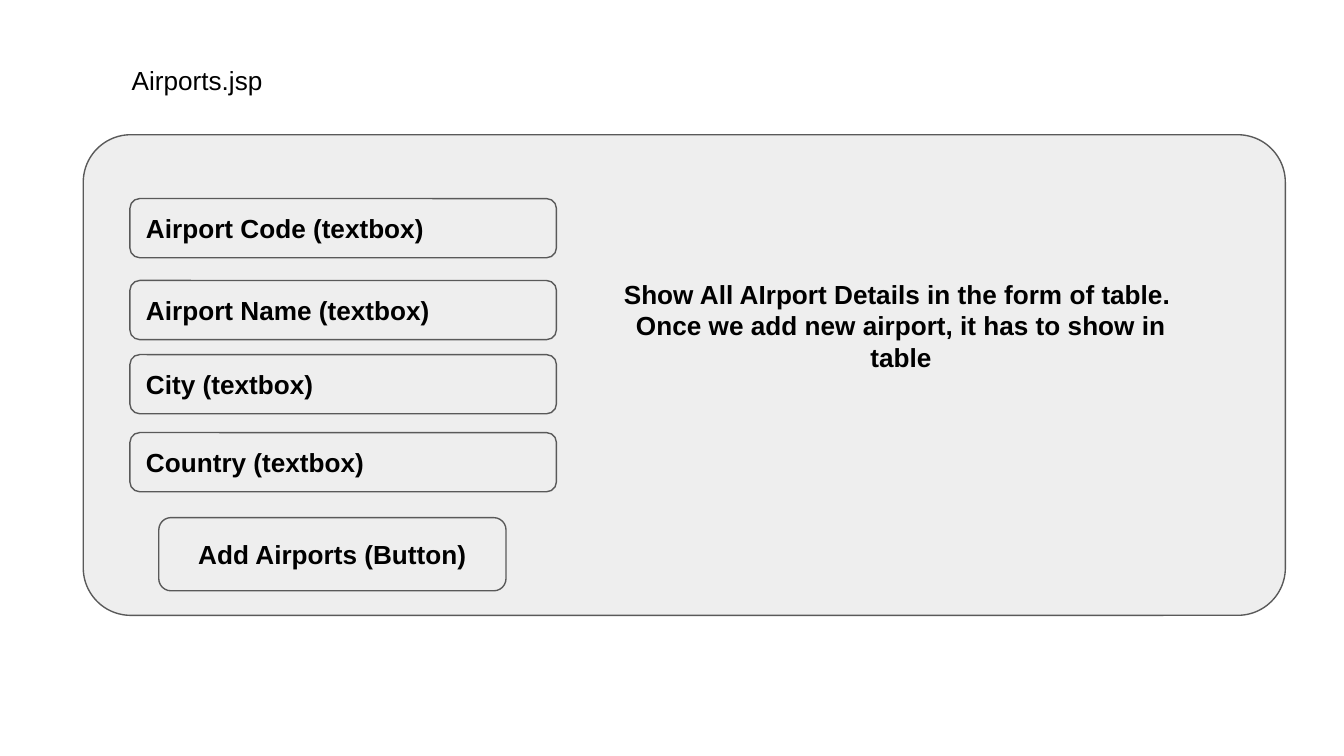
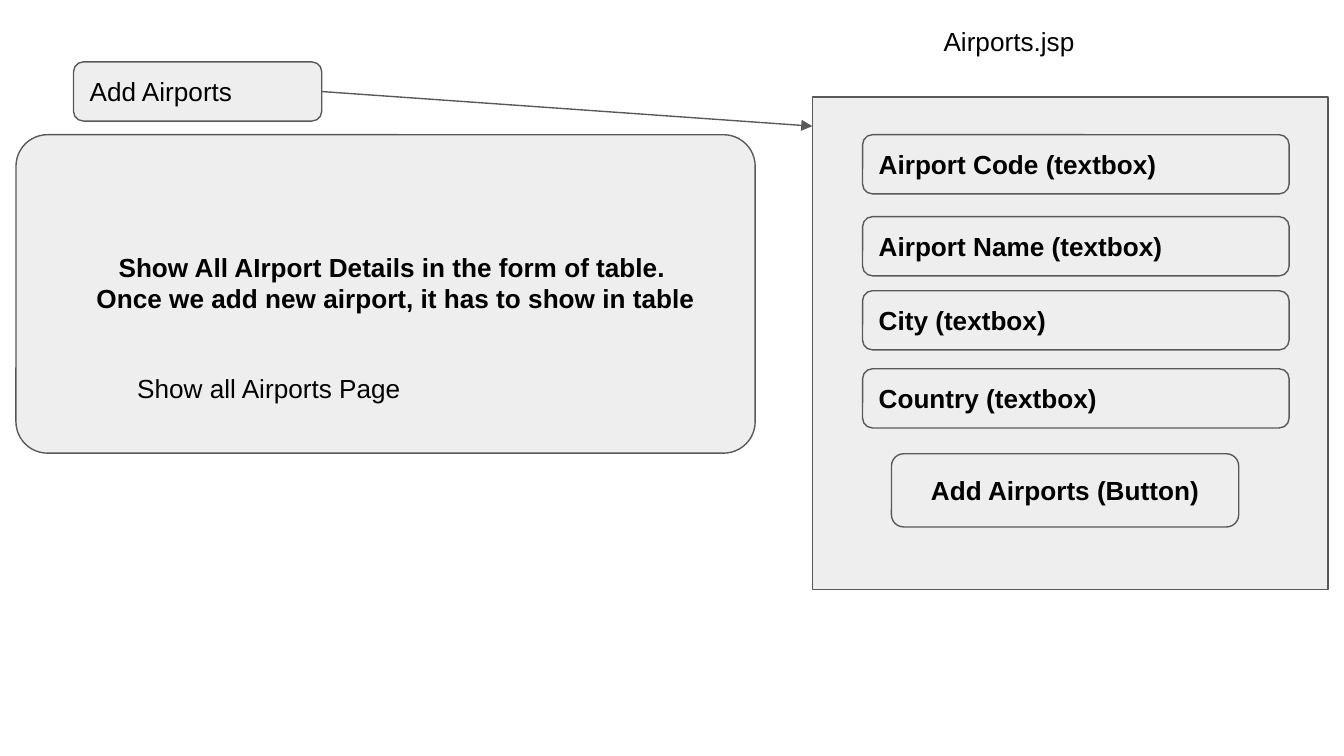
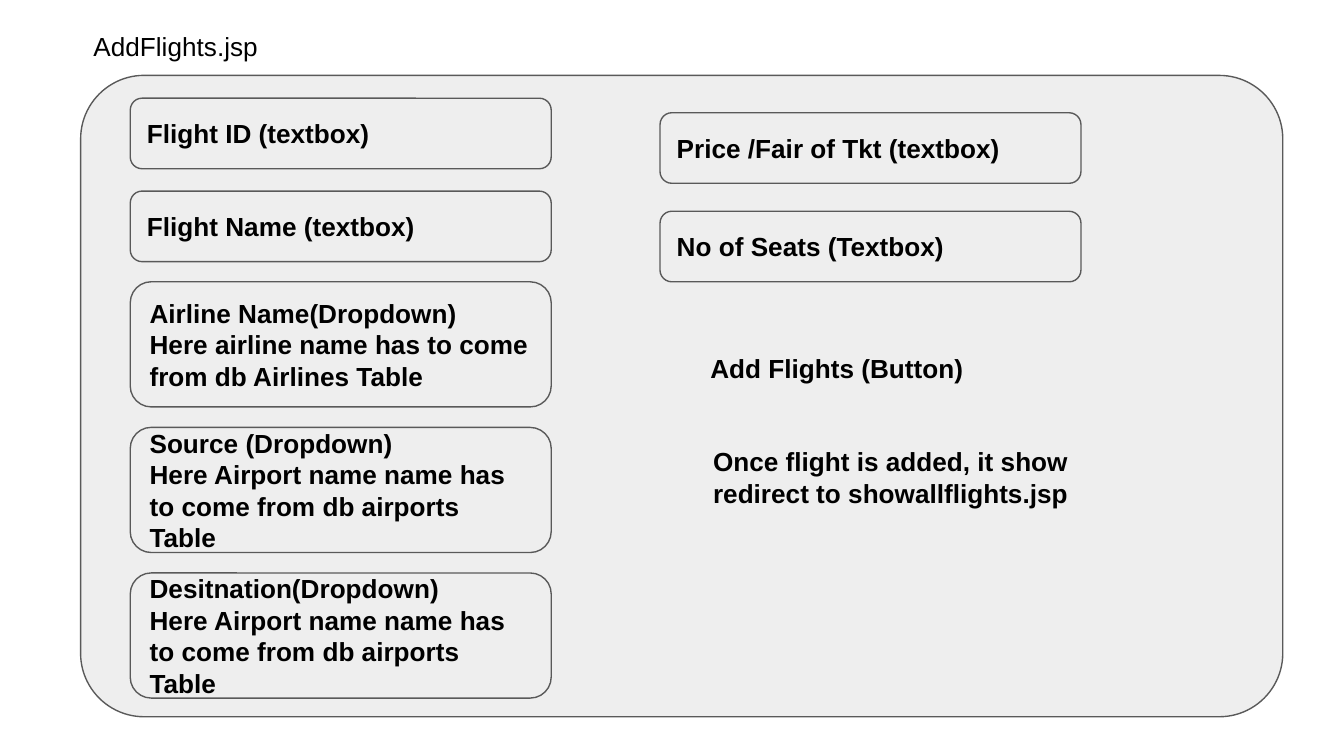
from dataclasses import dataclass

from lxml import etree
from pptx import Presentation
from pptx.dml.color import RGBColor
from pptx.enum import shapes, text
from pptx.oxml import ns
from pptx.util import Pt

FONT = "Arial"
INK = "000000"
PANEL = "EEEEEE"
BORDER = "595959"
INSET = 7.2
ROUND = shapes.MSO_SHAPE.ROUNDED_RECTANGLE
RECT = shapes.MSO_SHAPE.RECTANGLE
LEFT = text.PP_ALIGN.LEFT
CENTER = text.PP_ALIGN.CENTER
PANEL_ADJ = 0.099
FIELD_ADJ = 0.167


@dataclass
class Box:
    x: float
    y: float
    w: float
    h: float

    def lengths(self):
        return Pt(self.x), Pt(self.y), Pt(self.w), Pt(self.h)


@dataclass
class Field:
    label: str
    box: Box


AIRPORT_FIELDS = [
    Field("Airport Code (textbox)", Box(0, 0, 228.5, 31.7)),
    Field("Airport Name (textbox)", Box(0, 43.9, 228.5, 31.7)),
    Field("City (textbox)", Box(0, 83.6, 228.5, 31.7)),
    Field("Country (textbox)", Box(0, 125.4, 228.5, 31.7)),
]
ADD_AIRPORTS = Field("Add Airports (Button)", Box(15.5, 170.9, 186, 39.2))
AIRPORT_TABLE_NOTE = ("Show All AIrport Details in the form of table. \n"
                      "Once we add new airport, it has to show in table")
AIRPORT_SOURCE = "\nHere Airport name name has to come from db airports Table"
DROPDOWNS = [
    "Airline Name(Dropdown)\nHere airline name has to come from db Airlines Table",
    "Source (Dropdown)" + AIRPORT_SOURCE,
    "Desitnation(Dropdown)" + AIRPORT_SOURCE,
]
FLIGHT_FIELDS = [
    Field("Flight ID (textbox)", Box(69.8, 52.6, 225.5, 37.8)),
    Field("Flight Name (textbox)", Box(69.8, 102.4, 225.5, 37.8)),
    Field("Price /Fair of Tkt (textbox)", Box(353.6, 60.4, 225.5, 37.8)),
    Field("No of Seats (Textbox)", Box(353.6, 113.2, 225.5, 37.8)),
]


def color(value: str) -> RGBColor:
    return RGBColor.from_string(value)


def write(sp, content: str, *, bold=True, align=LEFT,
          anchor=text.MSO_ANCHOR.TOP) -> None:
    tf = sp.text_frame
    tf.word_wrap = True
    tf.vertical_anchor = anchor
    tf.margin_left = tf.margin_right = Pt(INSET)
    tf.margin_top = tf.margin_bottom = Pt(INSET)
    for i, line in enumerate(content.split("\n")):
        p = tf.paragraphs[0] if i == 0 else tf.add_paragraph()
        p.alignment = align
        r = p.add_run()
        r.text = line
        r.font.name = FONT
        r.font.size = Pt(14)
        r.font.bold = bold
        r.font.color.rgb = color(INK)


def add_box(s, box: Box, *, kind=ROUND, adj=FIELD_ADJ):
    sp = s.shapes.add_shape(kind, *box.lengths())
    if kind == ROUND:
        sp.adjustments[0] = adj
    sp.shadow.inherit = False
    sp.fill.solid()
    sp.fill.fore_color.rgb = color(PANEL)
    sp.line.color.rgb = color(BORDER)
    sp.line.width = Pt(0.75)
    return sp


def add_field(s, field: Field, *, bold=True, align=LEFT):
    sp = add_box(s, field.box)
    write(sp, field.label, bold=bold, align=align, anchor=text.MSO_ANCHOR.MIDDLE)
    return sp


def add_label(s, content: str, box: Box, *, bold=False, align=LEFT) -> None:
    sp = s.shapes.add_textbox(*box.lengths())
    write(sp, content, bold=bold, align=align)
    sp.text_frame.auto_size = text.MSO_AUTO_SIZE.SHAPE_TO_FIT_TEXT


def add_arrow(s, source, x: float, y: float) -> None:
    line = s.shapes.add_connector(
        shapes.MSO_CONNECTOR.STRAIGHT, Pt(0), Pt(0), Pt(x), Pt(y))
    line.begin_connect(source, 3)
    line.line.color.rgb = color(BORDER)
    line.line.width = Pt(0.75)
    etree.SubElement(line.line._get_or_add_ln(), ns.qn("a:tailEnd"), type="triangle")
    etree.SubElement(line._element.spPr, ns.qn("a:effectLst"))


def add_airport_form(s, x: float, y: float) -> None:
    for field in [*AIRPORT_FIELDS, ADD_AIRPORTS]:
        b = field.box
        placed = Field(field.label, Box(x + b.x, y + b.y, b.w, b.h))
        add_field(s, placed, align=CENTER if field is ADD_AIRPORTS else LEFT)


def airports_slide(s) -> None:
    add_box(s, Box(44.6, 72.2, 644, 257.5), adj=PANEL_ADJ)
    add_label(s, "Airports.jsp", Box(63.4, 27.4, 176.4, 31.7))
    add_airport_form(s, 69.6, 106.4)
    add_label(s, AIRPORT_TABLE_NOTE, Box(321.8, 142, 321.8, 65.5),
              bold=True, align=CENTER)


def add_airport_flow_slide(s) -> None:
    add_box(s, Box(435.2, 52, 276.2, 263.7), kind=RECT)
    add_box(s, Box(8.6, 72.2, 396, 170.6), adj=PANEL_ADJ)
    add_label(s, AIRPORT_TABLE_NOTE, Box(43.9, 127.4, 336.2, 48.2),
              bold=True, align=CENTER)
    add_label(s, "Show all Airports Page", Box(66.4, 192.4, 228.2, 31.7))
    add_label(s, "Airports.jsp", Box(498.4, 6.6, 176.4, 31.7))
    link = add_field(s, Field("Add Airports", Box(39.4, 33.2, 133, 31.7)), bold=False)
    add_airport_form(s, 462.1, 72.2)
    add_arrow(s, link, 435.2, 67.6)


def add_flights_slide(s) -> None:
    add_box(s, Box(43.2, 40.4, 644, 343.6), adj=PANEL_ADJ)
    add_label(s, "AddFlights.jsp", Box(43, 8.9, 136.8, 31.7))
    for field in FLIGHT_FIELDS:
        add_field(s, field)
    for i, label in enumerate(DROPDOWNS):
        add_field(s, Field(label, Box(69.8, 151 + 78 * i, 225.5, 67)))
    add_label(s, "Add Flights (Button)", Box(373.5, 181.4, 170.6, 31.7), bold=True)
    add_label(s, "Once flight is added, it show redirect to showallflights.jsp",
              Box(374.9, 231.6, 213.8, 48.2), bold=True)


def main() -> None:
    prs = Presentation()
    prs.slide_width, prs.slide_height = Pt(720), Pt(405)
    for build in (airports_slide, add_airport_flow_slide, add_flights_slide):
        build(prs.slides.add_slide(prs.slide_layouts[6]))
    prs.save("out.pptx")


if __name__ == "__main__":
    main()
